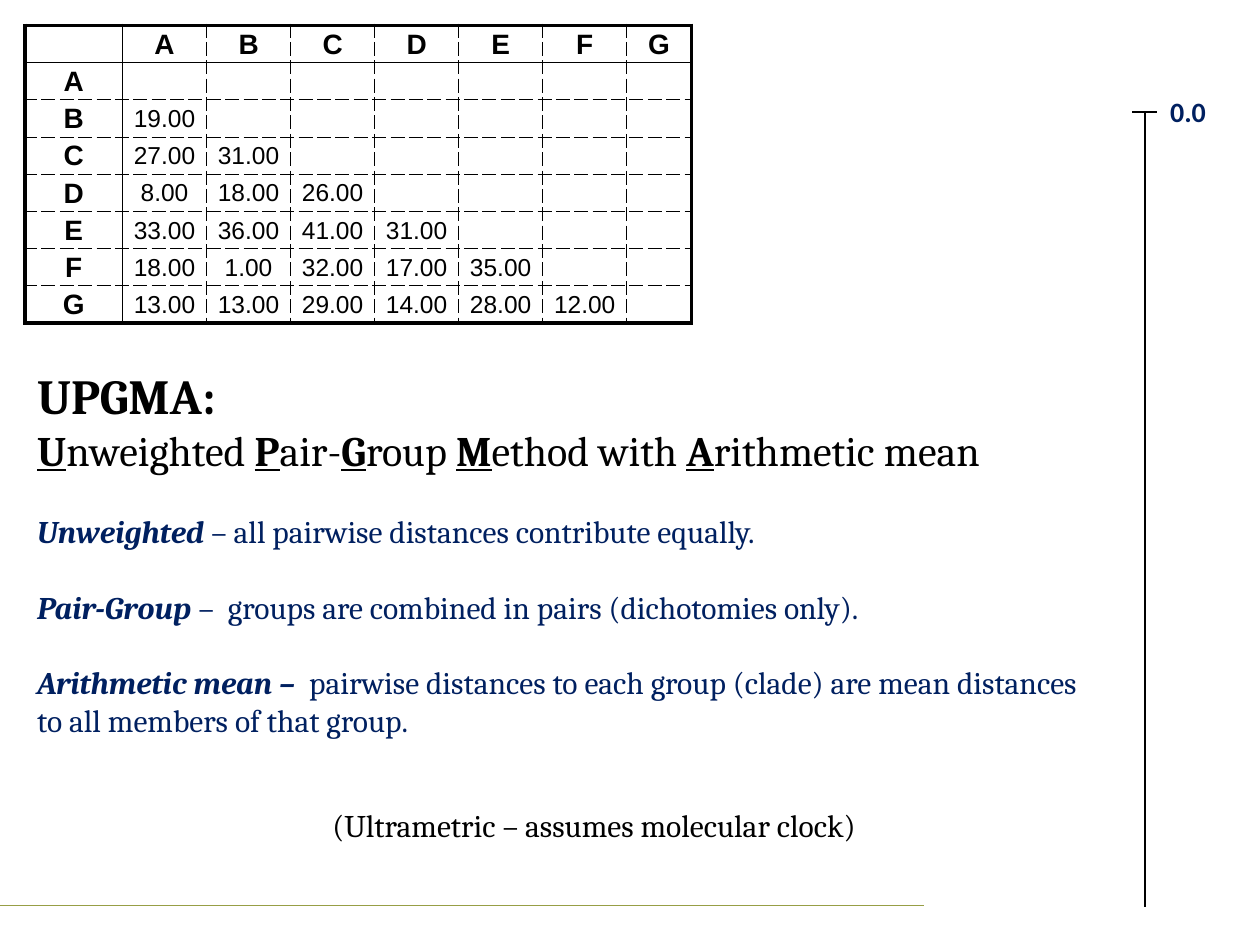
import lxml.etree
import pptx
import pptx.dml.color
import pptx.enum.shapes
import pptx.enum.text
import pptx.oxml.ns
import pptx.util

Cm = pptx.util.Cm
Pt = pptx.util.Pt
RGBColor = pptx.dml.color.RGBColor
qn = pptx.oxml.ns.qn

BLACK = RGBColor(0x00, 0x00, 0x00)
WHITE = RGBColor(0xFF, 0xFF, 0xFF)
NAVY = RGBColor(0x00, 0x20, 0x60)
OLIVE = RGBColor(0x97, 0x9E, 0x45)

TAXA = "ABCDEFG"
DISTANCES = [
    [],
    [19],
    [27, 31],
    [8, 18, 26],
    [33, 36, 41, 31],
    [18, 1, 32, 17, 35],
    [13, 13, 29, 14, 28, 12],
]
METHOD_NAME = [
    ("U", "nweighted "), ("P", "air-"), ("G", "roup "),
    ("M", "ethod with "), ("A", "rithmetic mean"),
]
DEFINITIONS = [
    ("Unweighted", " – all pairwise distances contribute equally."),
    ("Pair-Group ", "–  groups are combined in pairs (dichotomies only)."),
    ("Arithmetic mean –  ", "pairwise distances to each group (clade) are mean "
     "distances to all members of that group."),
]


def write(para, text, font="Cambria", size=18, color=BLACK, bold=False, italic=False, underline=False):
    """Append formatted text to a paragraph."""
    span = para.add_run()
    span.text = text
    span.font.name = font
    span.font.size = Pt(size)
    span.font.color.rgb = color
    span.font.bold = bold
    span.font.italic = italic
    span.font.underline = underline


def add_text_box(shapes, left, top, width, height, wrap=True):
    """Add an empty text box and return it."""
    box = shapes.add_textbox(Cm(left), Cm(top), Cm(width), Cm(height))
    box.text_frame.word_wrap = wrap
    return box


def add_line(shapes, start, end, color, weight):
    """Draw a straight line without a shadow."""
    line = shapes.add_connector(
        pptx.enum.shapes.MSO_CONNECTOR.STRAIGHT, *(Cm(value) for value in (*start, *end)))
    line.line.color.rgb = color
    line.line.width = Pt(weight)
    properties = line._element.find(qn("p:spPr"))
    lxml.etree.SubElement(properties, qn("a:effectLst"))


def edge_style(index, last):
    """Return the weight and dash of the grid line with this index."""
    if index in (0, last):
        return 2.25, "solid"
    return (1, "solid") if index == 1 else (0.5, "sysDash")


def set_borders(cell, row, column, count):
    """Draw the four borders of a cell by its place in the grid."""
    properties = cell._tc.get_or_add_tcPr()
    edges = {"a:lnL": column, "a:lnR": column + 1, "a:lnT": row, "a:lnB": row + 1}
    for position, (tag, index) in enumerate(edges.items()):
        weight, dash = edge_style(index, count)
        edge = lxml.etree.Element(qn(tag), w=str(int(Pt(weight))))
        fill = lxml.etree.SubElement(edge, qn("a:solidFill"))
        lxml.etree.SubElement(fill, qn("a:srgbClr"), val=str(BLACK))
        lxml.etree.SubElement(edge, qn("a:prstDash"), val=dash)
        properties.insert(position, edge)


def add_distance_table(page, left, top, width, height):
    """Build the lower-triangle distance matrix."""
    rows = [["", *TAXA]]
    for taxon, values in zip(TAXA, DISTANCES):
        numbers = [f"{value:.2f}" for value in values]
        rows.append([taxon] + numbers + [""] * (len(TAXA) - len(numbers)))
    count = len(rows)
    table = page.shapes.add_table(count, count, Cm(left), Cm(top), Cm(width), Cm(height)).table
    table.first_row = table.horz_banding = False
    first, last = 1.97, 1.3
    middle = (width - first - last) / (count - 2)
    for column, column_width in zip(table.columns, [first] + [middle] * (count - 2) + [last]):
        column.width = Cm(column_width)
    for row, texts in enumerate(rows):
        table.rows[row].height = Cm(height / count)
        for column, text in enumerate(texts):
            cell = table.cell(row, column)
            cell.margin_left = cell.margin_right = cell.margin_top = Cm(0.03)
            cell.margin_bottom = 0
            cell.vertical_anchor = pptx.enum.text.MSO_ANCHOR.MIDDLE
            cell.fill.solid()
            cell.fill.fore_color.rgb = WHITE
            set_borders(cell, row, column, count)
            para = cell.text_frame.paragraphs[0]
            para.alignment = pptx.enum.text.PP_ALIGN.CENTER
            heading = row == 0 or column == 0
            if text:
                write(para, text, font="Arial", size=16 if heading else 14, bold=heading)
            else:
                lxml.etree.SubElement(para._p, qn("a:endParaRPr"), sz="1400")


def add_scale(page, left, top, width, height):
    """Draw the vertical distance axis with its zero tick and label."""
    group = page.shapes.add_group_shape()
    tick = 0.5
    middle = left + tick / 2
    add_line(group.shapes, (middle, top), (middle, top + height), BLACK, 1.5)
    add_line(group.shapes, (left, top), (left + tick, top), BLACK, 1.5)
    label_left = 0.76
    label = add_text_box(
        group.shapes, left + label_left, top - 0.35, width - label_left, 0.68, wrap=False)
    frame = label.text_frame
    frame.margin_left = frame.margin_right = frame.margin_top = frame.margin_bottom = 0
    write(frame.paragraphs[0], "0.0", font="Calibri", size=16, color=NAVY, bold=True)


def add_explanation(page, left, top, width, height):
    """Write the method name and the meaning of each of its parts."""
    frame = add_text_box(page.shapes, left, top, width, height).text_frame
    para = frame.paragraphs[0]
    write(para, "UPGMA: ", size=28, bold=True)
    para.add_line_break()
    for initial, rest in METHOD_NAME:
        write(para, initial, size=24, bold=True, underline=True)
        write(para, rest, size=24)
    for term, meaning in DEFINITIONS:
        para = frame.add_paragraph()
        para.space_before = Pt(21.5)
        write(para, term, color=NAVY, bold=True, italic=True)
        write(para, meaning, color=NAVY)


def add_footer(page, left, top, width, height):
    """Write the clock remark above the closing rule."""
    box = add_text_box(page.shapes, left + 6.45, top, 11.91, 1.02, wrap=False)
    write(box.text_frame.paragraphs[0], "(Ultrametric – assumes molecular clock)")
    bottom = top + height
    add_line(page.shapes, (left, bottom), (left + width, bottom), OLIVE, 0.75)


def main():
    """Build the slide and save the deck."""
    deck = pptx.Presentation()
    deck.slide_width = Cm(25.4)
    deck.slide_height = Cm(19.05)
    page = deck.slides.add_slide(deck.slide_layouts[6])
    add_distance_table(page, 0.5, 0.51, 13.44, 6)
    add_scale(page, 22.83, 2.26, 1.5, 16.03)
    add_explanation(page, 0.5, 7.24, 21.54, 7.8)
    add_footer(page, 0, 16.13, 18.62, 2.13)
    deck.save("out.pptx")


if __name__ == "__main__":
    main()
